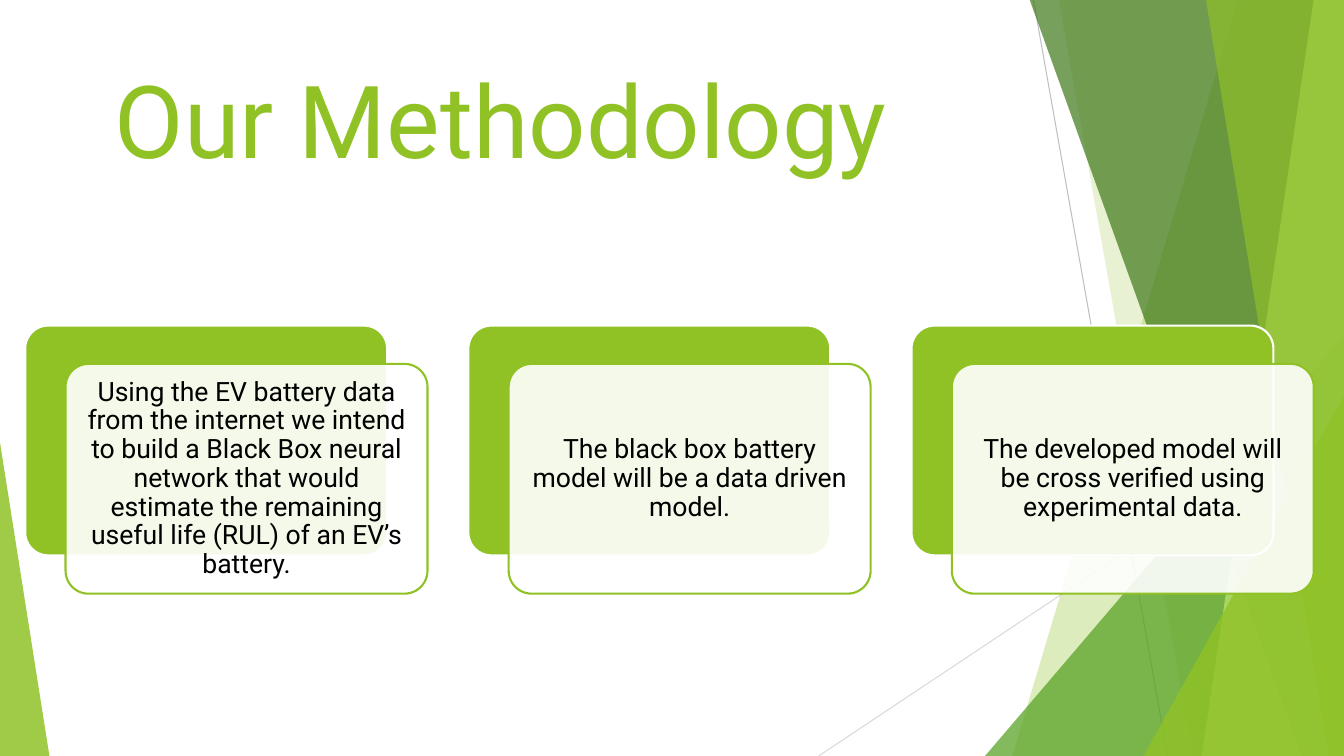
"""Build the "Our Methodology" slide: three layered cards over green facets."""
from lxml.etree import SubElement
from pptx import Presentation
from pptx.dml.color import RGBColor
from pptx.enum.shapes import MSO_CONNECTOR, MSO_SHAPE
from pptx.enum.text import MSO_ANCHOR, MSO_AUTO_SIZE, PP_ALIGN
from pptx.oxml.ns import qn
from pptx.util import Inches, Pt

COLORS = {
    "lime": "90C226", "leaf": "54A021", "forest": "3F7819", "pale": "C0E474",
    "white": "FFFFFF", "black": "000000", "gray": "BFBFBF", "silver": "D9D9D9",
}
WIDTH, HEIGHT = 13.33, 7.5


def paint(shape, fill, opacity=100, line=None):
    shape.shadow.inherit = False
    shape.fill.solid()
    shape.fill.fore_color.rgb = RGBColor.from_string(COLORS[fill])
    if opacity < 100:
        color = shape.fill._xPr.find(qn("a:solidFill"))[0]
        SubElement(color, qn("a:alpha")).set("val", str(opacity * 1000))
    if line:
        shape.line.color.rgb = RGBColor.from_string(COLORS[line])
        shape.line.width = Pt(1.5)
    else:
        shape.line.fill.background()


def write(frame, text, size, color, align, inset_x, inset_y, spacing=None):
    frame.word_wrap = True
    frame.auto_size = MSO_AUTO_SIZE.NONE
    frame.vertical_anchor = MSO_ANCHOR.MIDDLE
    frame.margin_left = frame.margin_right = Inches(inset_x)
    frame.margin_top = frame.margin_bottom = Inches(inset_y)
    paragraph = frame.paragraphs[0]
    paragraph.alignment = align
    paragraph.line_spacing = spacing
    run = paragraph.add_run()
    run.text = text
    run.font.name = "Roboto"
    run.font.size = Pt(size)
    run.font.color.rgb = RGBColor.from_string(COLORS[color])


presentation = Presentation()
presentation.slide_width, presentation.slide_height = Inches(WIDTH), Inches(HEIGHT)
slide = presentation.slides.add_slide(presentation.slide_layouts[5])
shapes = slide.shapes

for start_x, start_y, end_x, color in [(10.25, 0, 11.58, "gray"),
                                       (WIDTH, 4.03, 8.12, "silver")]:
    ray = shapes.add_connector(MSO_CONNECTOR.STRAIGHT, Inches(start_x),
                               Inches(start_y), Inches(end_x), Inches(HEIGHT))
    ray.line.color.rgb = RGBColor.from_string(COLORS[color])
    ray.line.width = Pt(0.75)
    SubElement(ray._element.spPr, qn("a:effectLst"))

facets = [
    ("band", (12.28, 10.04), "lime", 30),
    ("band", (10.5, 11.83), "lime", 20),
    ("triangle", (9.77, 3.33, WIDTH, 1), "leaf", 72),
    ("band", (10.21, 12.91), "forest", 70),
    ("band", (13.03, 11.92), "pale", 70),
    ("band", (11.96, 13.18), "lime", 65),
    ("triangle", (11.34, 3.93, WIDTH, 1), "lime", 80),
    ("triangle", (0, 4.39, 0.49, 0), "lime", 85),
]
for kind, geometry, color, opacity in facets:
    if kind == "band":
        top_x, bottom_x = geometry
        builder = shapes.build_freeform(Inches(top_x), Inches(-0.01))
        corners = [(WIDTH, -0.01), (WIDTH, HEIGHT), (bottom_x, HEIGHT)]
        builder.add_line_segments([(Inches(x), Inches(y)) for x, y in corners])
        facet = builder.convert_to_shape()
    else:
        left, top, right, apex = geometry
        facet = shapes.add_shape(MSO_SHAPE.ISOSCELES_TRIANGLE, Inches(left), Inches(top),
                                 Inches(right - left), Inches(HEIGHT - top))
        facet.adjustments[0] = apex
    paint(facet, color, opacity)

title = shapes.title
title.left, title.top = Inches(1.04), Inches(0.46)
title.width, title.height = Inches(10.85), Inches(1.42)
write(title.text_frame, "Our Methodology", 72, "lime", PP_ALIGN.LEFT, 0.1, 0.05)
shapes._spTree.append(title._element)

steps = [
    "Using the EV battery data from the internet we intend to build a Black Box neural "
    "network that would estimate the remaining useful life (RUL) of an EV’s battery.",
    "The black box battery model will be a data driven model.",
    "The developed model will be cross verified using experimental data.",
]
CARD_LEFT, CARD_TOP, CARD_PITCH = 0.25, 3.23, 4.395
CARD_WIDTH, CARD_HEIGHT = 3.59, 2.28
layers = [(0, 0, "lime", 100, "white"), (0.4, 0.38, "white", 90, "lime")]
for column, step in enumerate(steps):
    for shift_x, shift_y, fill, opacity, line in layers:
        card = shapes.add_shape(
            MSO_SHAPE.ROUNDED_RECTANGLE,
            Inches(CARD_LEFT + column * CARD_PITCH + shift_x), Inches(CARD_TOP + shift_y),
            Inches(CARD_WIDTH), Inches(CARD_HEIGHT))
        card.adjustments[0] = 0.1
        paint(card, fill, opacity, line)
    write(card.text_frame, step, 19, "black", PP_ALIGN.CENTER, 0.08, 0.08, spacing=0.9)

presentation.save("out.pptx")
